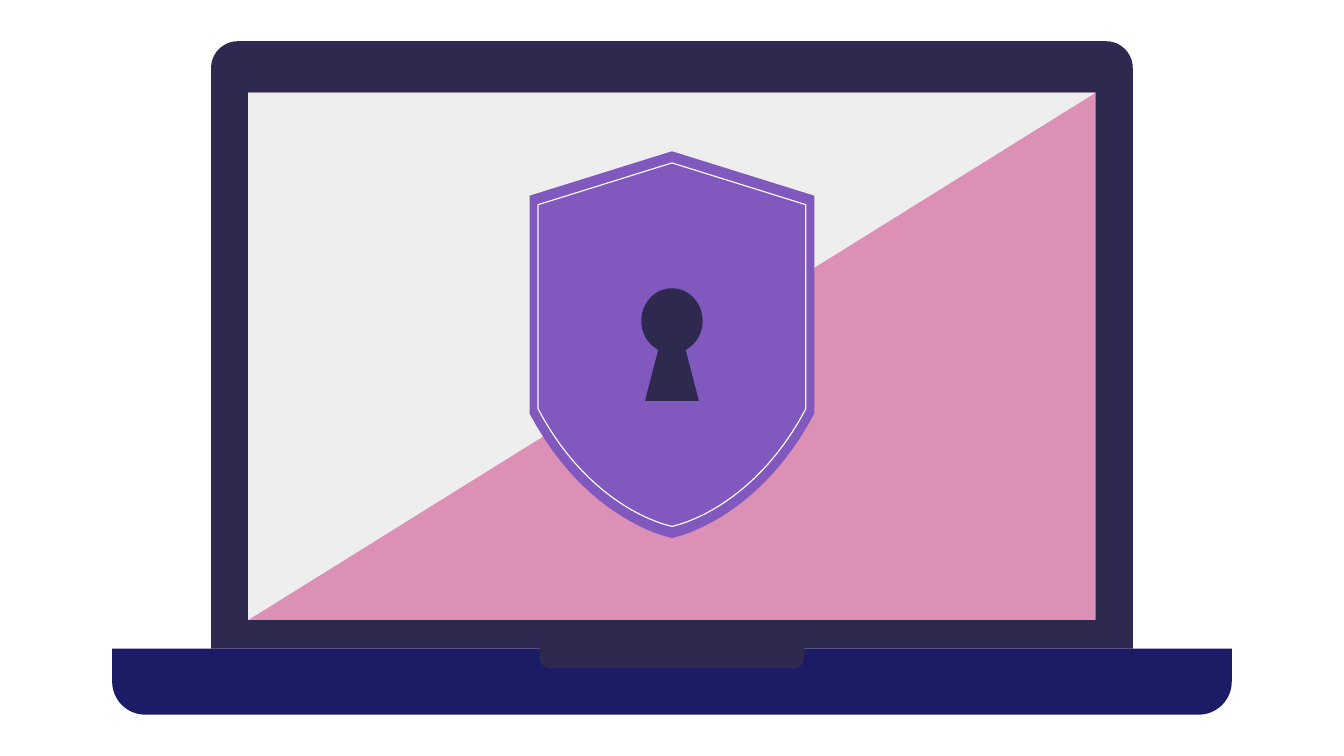
import pptx
import pptx.util
import pptx.dml.color
import pptx.enum.shapes

Cm = pptx.util.Cm
MSO = pptx.enum.shapes.MSO_SHAPE
COLORS = {
    "case": "2E294E",
    "base": "1C1C66",
    "pink": "DD90B6",
    "grey": "EEEEEE",
    "shield": "8058BE",
    "outline": "FCFCFC",
}
CENTER = 12.7
STEPS = 24


def paint(sp, fill=None, line=None):
    sp.shadow.inherit = False
    if fill:
        sp.fill.solid()
        sp.fill.fore_color.rgb = pptx.dml.color.RGBColor.from_string(COLORS[fill])
    else:
        sp.fill.background()
    if line:
        sp.line.color.rgb = pptx.dml.color.RGBColor.from_string(COLORS[line])
        sp.line.width = pptx.util.Pt(0.61)
    else:
        sp.line.fill.background()


def polygon(s, points):
    pts = [(Cm(x), Cm(y)) for x, y in points]
    builder = s.shapes.build_freeform(*pts[0])
    builder.add_line_segments(pts[1:], close=True)
    return builder.convert_to_shape()


prs = pptx.Presentation()
prs.slide_width = Cm(25.4)
prs.slide_height = Cm(14.29)
s = prs.slides.add_slide(prs.slide_layouts[6])

left, top, width, height = 4.69, 1.75, 16.02, 9.97
laptop = [
    (MSO.ROUND_2_SAME_RECTANGLE, 0.78, 17.42, 11.48, "case", (0.044, 0)),
    (MSO.RECTANGLE, top, width, height, "pink", ()),
    (MSO.ROUND_2_SAME_RECTANGLE, 12.26, 21.16, 1.25, "base", (0, 0.5)),
    (MSO.ROUND_2_SAME_RECTANGLE, 12.24, 5, 0.39, "case", (0, 0.47)),
]
keyhole = [
    (MSO.OVAL, 5.45, 1.16, 1.23, "case", ()),
    (MSO.TRAPEZOID, 6.6, 1.02, 0.98, "case", (0.26,)),
]
shields = [
    (2.69, 2.86, 3.7, 7.82, 10.17, "shield", None),
    (2.53, 3.08, 3.87, 7.73, 9.95, None, "outline"),
]

for group in (laptop, keyhole):
    for kind, y, w, h, color, adjustments in group:
        sp = s.shapes.add_shape(kind, Cm(CENTER - w / 2), Cm(y), Cm(w), Cm(h))
        for i, value in enumerate(adjustments):
            sp.adjustments[i] = value
        paint(sp, color)

    if group is laptop:
        sp = polygon(s, [(left, top), (left, top + height), (left + width, top)])
        paint(sp, "grey")

        for half, peak, shoulder, waist, tip, fill, line in shields:
            side = [(half, shoulder)]
            for i in range(STEPS):
                t = i / STEPS
                u = 1 - t
                x = half * (u**3 + 1.78 * u**2 * t)
                y = tip - (tip - waist) * (u**3 + 0.37 * u**2 * t)
                side.append((x, y))
            right = [(CENTER + x, y) for x, y in side]
            mirrored = [(CENTER - x, y) for x, y in reversed(side)]
            sp = polygon(s, [(CENTER, peak)] + right + [(CENTER, tip)] + mirrored)
            paint(sp, fill, line)

prs.save("out.pptx")
